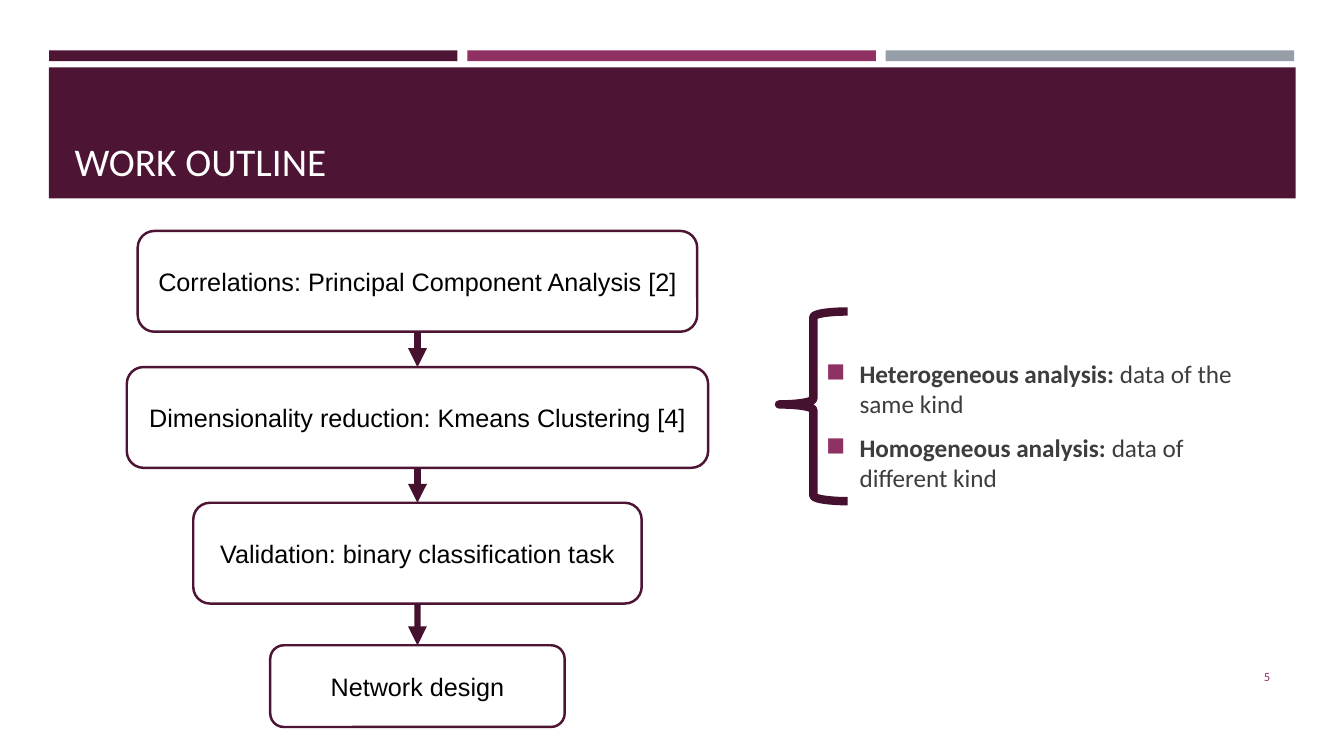
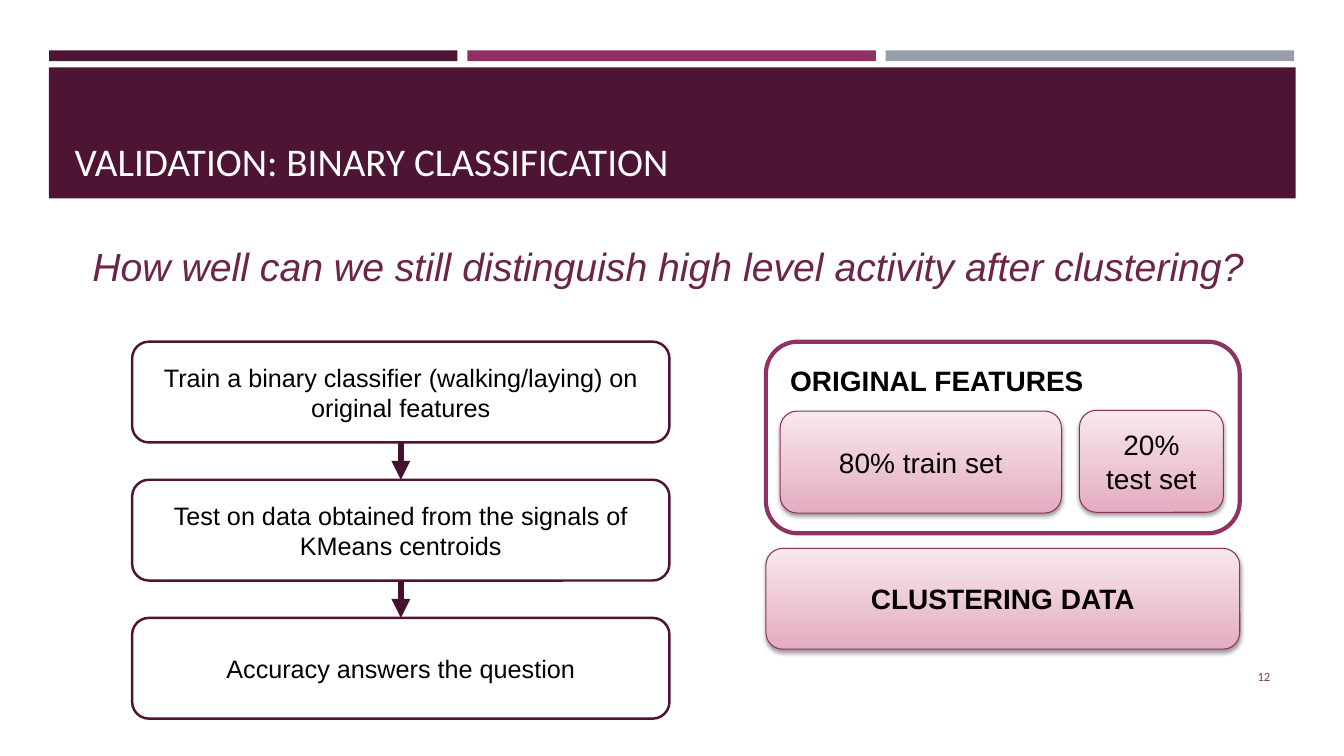
"""Build two slides on the work outline and the binary classification check."""
from dataclasses import dataclass

from pptx import Presentation, util as u
from pptx.dml.color import RGBColor
from pptx.enum import shapes, text
from pptx.oxml import parse_xml
from pptx.oxml.ns import nsdecls


@dataclass(frozen=True)
class Theme:
    plum: RGBColor = RGBColor.from_string("4D1434")
    arrow: RGBColor = RGBColor.from_string("45112E")
    berry: RGBColor = RGBColor.from_string("903163")
    gray: RGBColor = RGBColor.from_string("969FA7")
    question: RGBColor = RGBColor.from_string("6C244A")
    body: RGBColor = RGBColor.from_string("3D3D3D")
    pink: RGBColor = RGBColor.from_string("E4ACC1")
    blush: RGBColor = RGBColor.from_string("F8E8EE")
    white: RGBColor = RGBColor.from_string("FFFFFF")
    black: RGBColor = RGBColor.from_string("000000")
    heading_face: str = "Calibri"
    diagram_face: str = "Arial"
    title_size: int = 28
    label_size: int = 20
    text_size: int = 18
    number_size: int = 9


theme = Theme()
align = text.PP_ALIGN
anchors = text.MSO_ANCHOR
preset = shapes.MSO_SHAPE


def write(holder, wording, size, color, face, alignment=align.LEFT,
          anchor=anchors.MIDDLE, bold=False, italic=False):
    frame = holder.text_frame
    frame.word_wrap = True
    frame.vertical_anchor = anchor
    frame.text = wording
    for paragraph in frame.paragraphs:
        paragraph.alignment = alignment
        font = paragraph.font
        font.size, font.name, font.color.rgb = u.Pt(size), face, color
        font.bold, font.italic = bold, italic


def add_panel(slide, kind, place, fill=None, line=None, width=1.75):
    panel = slide.shapes.add_shape(kind, *map(u.Cm, place))
    panel.shadow.inherit = False
    if fill is None:
        panel.fill.background()
    else:
        panel.fill.solid()
        panel.fill.fore_color.rgb = fill
    if line is None:
        panel.line.fill.background()
    else:
        panel.line.color.rgb = line
        panel.line.width = u.Pt(width)
    return panel


deck = Presentation()
deck.slide_width, deck.slide_height = u.Inches(13.333), u.Inches(7.5)

outline_steps = [
    ("Correlations: Principal Component Analysis [2]", 14.1, 5.82, 2.54),
    ("Dimensionality reduction: Kmeans Clustering [4]", 14.65, 9.25, 2.54),
    ("Validation: binary classification task", 11.3, 12.67, 2.54),
    ("Network design", 7.42, 16.26, 2.06),
]
validation_steps = [
    (wording, 13.54, 8.61 + 3.48 * row, 2.54)
    for row, wording in enumerate([
        "Train a binary classifier (walking/laying) on original features",
        "Test on data obtained from the signals of KMeans centroids",
        "Accuracy answers the question",
    ])
]
pages = [
    ("WORK OUTLINE", "5", 10.52, outline_steps),
    ("VALIDATION: BINARY CLASSIFICATION", "12", 10.1, validation_steps),
]

for title, number, center, steps in pages:
    slide = deck.slides.add_slide(deck.slide_layouts[6])

    for column, color in enumerate([theme.plum, theme.berry, theme.gray]):
        add_panel(slide, preset.RECTANGLE, (1.24 + 10.54 * column, 1.27, 10.29, 0.27), color)
    add_panel(slide, preset.RECTANGLE, (1.23, 1.7, 31.42, 3.3), theme.plum)

    heading = slide.shapes.add_textbox(u.Cm(1.63), u.Cm(1.96), u.Cm(30.63), u.Cm(2.82))
    write(heading, title, theme.title_size, theme.white, theme.heading_face,
          anchor=anchors.BOTTOM)
    page_number = slide.shapes.add_textbox(u.Cm(29.34), u.Cm(16.54), u.Cm(2.92), u.Cm(1.02))
    write(page_number, number, theme.number_size, theme.berry, theme.heading_face, align.RIGHT)

    previous = None
    for wording, width, top, height in steps:
        step = add_panel(slide, preset.ROUNDED_RECTANGLE,
                         (center - width / 2, top, width, height), theme.white, theme.plum)
        write(step, wording, theme.text_size, theme.black, theme.diagram_face, align.CENTER)
        if previous is not None:
            arrow = slide.shapes.add_connector(shapes.MSO_CONNECTOR.STRAIGHT, 0, 0, 0, 0)
            arrow.begin_connect(previous, 2)
            arrow.end_connect(step, 0)
            arrow.line.color.rgb = theme.arrow
            arrow.line.width = u.Pt(4.5)
            outline = arrow._element.xpath(".//a:ln")[0]
            outline.append(parse_xml(f'<a:tailEnd {nsdecls("a")} type="triangle"/>'))
            outline.addnext(parse_xml(f'<a:effectLst {nsdecls("a")}/>'))
        previous = step

outline_slide, validation_slide = deck.slides

brace = add_panel(outline_slide, preset.LEFT_BRACE, (19.63, 7.85, 1.73, 4.78),
                  line=theme.arrow, width=6)
brace.adjustments[0], brace.adjustments[1] = 0.08, 0.49

analyses = outline_slide.shapes.add_textbox(u.Cm(20.57), u.Cm(8.91), u.Cm(11.3), u.Cm(3.62))
analyses.text_frame.word_wrap = True
analyses.text_frame.vertical_anchor = anchors.MIDDLE
definitions = [
    ("Heterogeneous analysis: ", "data of the same kind"),
    ("Homogeneous analysis: ", "data of different kind"),
]
for row, (term, meaning) in enumerate(definitions):
    frame = analyses.text_frame
    paragraph = frame.add_paragraph() if row else frame.paragraphs[0]
    paragraph.space_before = u.Pt(9.6 * row)
    properties = paragraph._p.get_or_add_pPr()
    properties.set("marL", str(u.Cm(0.84)))
    properties.set("indent", str(u.Cm(-0.84)))
    for bullet in (
        f'<a:buClr {nsdecls("a")}><a:srgbClr val="{theme.berry}"/></a:buClr>',
        f'<a:buSzPct {nsdecls("a")} val="92000"/>',
        f'<a:buChar {nsdecls("a")} char="◼"/>',
    ):
        properties.append(parse_xml(bullet))
    font = paragraph.font
    font.size, font.name = u.Pt(theme.text_size), theme.heading_face
    font.color.rgb = theme.body
    for wording, bold in ((term, True), (meaning, False)):
        run = paragraph.add_run()
        run.text = wording
        run.font.bold = bold

question = validation_slide.shapes.add_textbox(u.Cm(2.08), u.Cm(5.97), u.Cm(29.72), u.Cm(1.45))
write(question, "How well can we still distinguish high level activity after clustering?",
      theme.title_size, theme.question, theme.diagram_face, anchor=anchors.TOP, italic=True)

add_panel(validation_slide, preset.ROUNDED_RECTANGLE, (19.3, 8.61, 11.94, 4.83),
          line=theme.berry, width=3)
features = validation_slide.shapes.add_textbox(u.Cm(19.66), u.Cm(9.04), u.Cm(9.78), u.Cm(1.12))
write(features, "ORIGINAL FEATURES", theme.label_size, theme.black, theme.diagram_face,
      anchor=anchors.TOP, bold=True)

datasets = [
    ("80% train set", (19.66, 10.36, 7.09, 2.57), False),
    ("20%\ntest set", (27.2, 10.34, 3.63, 2.57), False),
    ("CLUSTERING DATA", (19.3, 13.82, 11.94, 2.54), True),
]
for wording, place, bold in datasets:
    dataset = add_panel(validation_slide, preset.ROUNDED_RECTANGLE, place,
                        line=theme.berry, width=0.75)
    dataset.fill.gradient()
    dataset.fill.gradient_angle = 90
    for stop, color in zip(dataset.fill.gradient_stops, (theme.pink, theme.blush)):
        stop.color.rgb = color
    for stop, position in zip(dataset.fill.gradient_stops, (0, 1)):
        stop.position = position
    dataset._element.xpath("./p:spPr/a:effectLst")[0].append(parse_xml(
        f'<a:outerShdw {nsdecls("a")} blurRad="40000" dist="20000" dir="5400000" rotWithShape="0">'
        f'<a:srgbClr val="{theme.black}"><a:alpha val="38000"/></a:srgbClr></a:outerShdw>'))
    write(dataset, wording, theme.label_size, theme.black, theme.diagram_face,
          align.CENTER, bold=bold)

deck.save("out.pptx")
